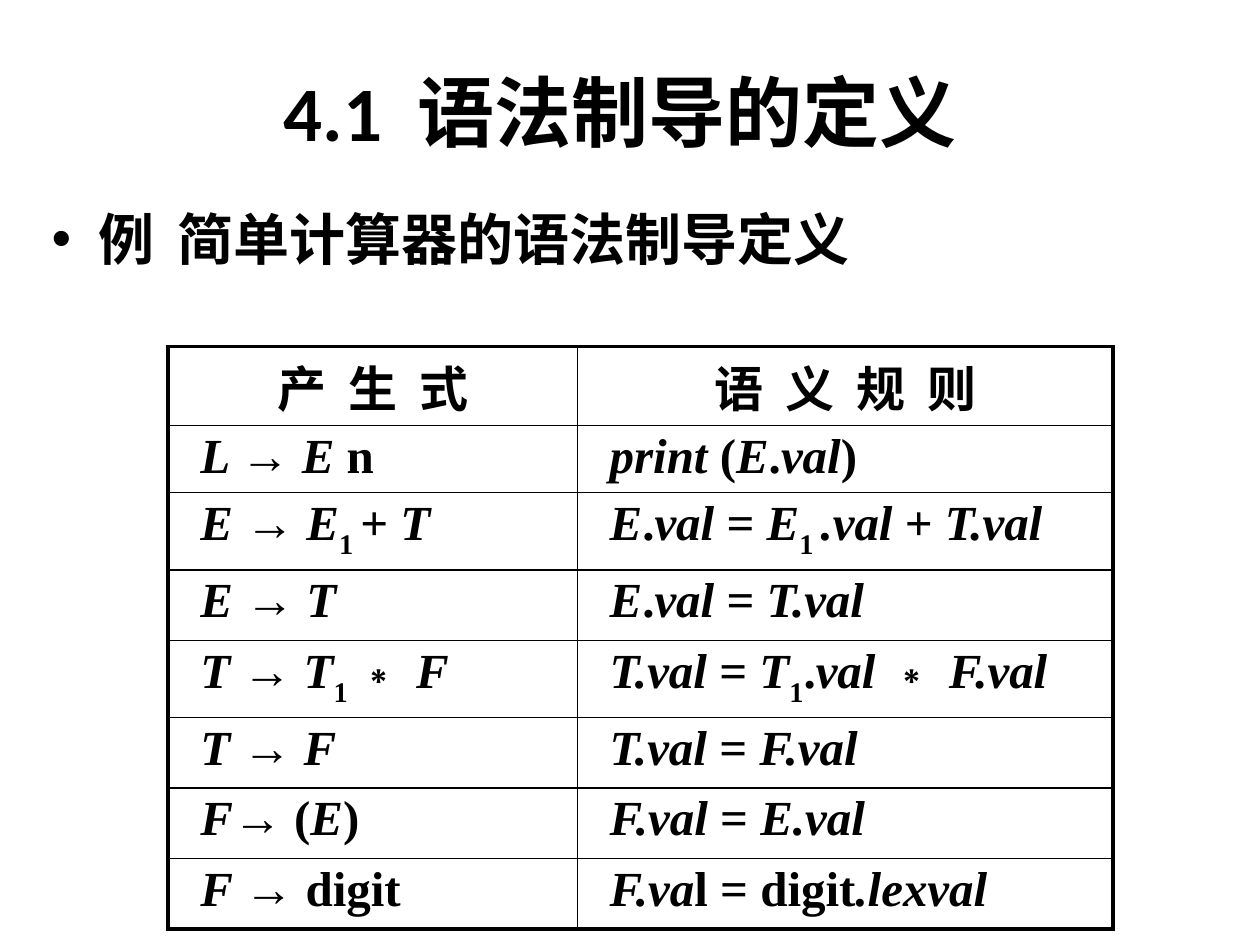
from lxml import etree
from pptx import Presentation
from pptx.dml.color import RGBColor
from pptx.enum import text
from pptx.oxml import ns
from pptx.util import Cm, Pt

BLACK = RGBColor(0, 0, 0)
LATIN, MATH, CJK = "Calibri", "Times New Roman", "Noto Sans CJK SC"
HEADERS = ["产 生 式", "语 义 规 则"]
RULES = [
    ("_L _→ _E _n", "_print_ (_E_._val_)"),
    ("_E _→ _E_~1 ~+ _T_", "_E_._val_ = _E_~1 ~_.val_ + _T.val_"),
    ("_E _→ _T_", "_E_._val_ = _T.val_"),
    ("_T _→ _T_~1 ~∗ _F_", "_T.val_ = _T_~1~._val _∗ _F.val_"),
    ("_T _→ _F_", "_T.val_ = _F.val_"),
    ("_F_→ (_E_)", "_F.val_ = _E.val_"),
    ("_F _→ digit", "_F.va_l = digit_.lexval_"),
]
WIDTHS = [Cm(8.25), Cm(10.8)]
HEIGHTS = [Cm(1.59), Cm(1.35)] + [Cm(1.42)] * 6


def child(parent, tag, **attrs):
    return etree.SubElement(parent, ns.qn(tag), attrs)


def add_run(p, content, font, size, italic=False, spacing=0, sub=False):
    r = p.add_run()
    r.text = content
    for key, value in {"name": font, "size": Pt(size), "bold": True,
                       "italic": italic}.items():
        setattr(r.font, key, value)
    r.font.color.rgb = BLACK
    rPr = r._r.get_or_add_rPr()
    child(rPr, "a:ea", typeface=CJK)
    if spacing:
        rPr.set("spc", str(spacing))
    if sub:
        rPr.set("baseline", "-30000")


def add_formula(p, markup):
    for i, part in enumerate(markup.split("~")):
        for j, piece in enumerate(part.split("_")):
            if piece:
                add_run(p, piece, MATH, 28, italic=j % 2 == 1, sub=i % 2 == 1)


def add_box(s, left, top, width, height, anchor):
    tf = s.shapes.add_textbox(left, top, width, height).text_frame
    tf.word_wrap = True
    tf.vertical_anchor = anchor
    return tf.paragraphs[0]


def add_title(s):
    p = add_box(s, Cm(1.7), Cm(0.64), Cm(21.6), Cm(3.18), text.MSO_ANCHOR.MIDDLE)
    p.alignment = text.PP_ALIGN.CENTER
    add_run(p, "4.1", LATIN, 44)
    add_run(p, " ", LATIN, 44, spacing=1000)
    add_run(p, "语法制导的定义", LATIN, 44)


def add_bullet(s):
    p = add_box(s, Cm(0.79), Cm(3.99), Cm(23.8), Cm(14), text.MSO_ANCHOR.TOP)
    pPr = p._p.get_or_add_pPr()
    pPr.set("marL", str(Cm(0.95)))
    pPr.set("indent", str(-Cm(0.95)))
    child(pPr, "a:buFont", typeface="Arial")
    child(pPr, "a:buChar", char="•")
    child(child(pPr, "a:tabLst"), "a:tab", pos=str(Cm(2.54)), algn="l")
    add_run(p, "例\t简单计算器的语法制导定义", LATIN, 32)


def set_borders(cell, outer):
    tcPr = cell._tc.get_or_add_tcPr()
    for side, is_outer in outer.items():
        ln = child(tcPr, f"a:ln{side}", w=str(Pt(2.25 if is_outer else 1)))
        child(child(ln, "a:solidFill"), "a:srgbClr", val=str(BLACK))


def add_rules_table(s):
    rows = [HEADERS] + RULES
    tbl = s.shapes.add_table(len(rows), len(WIDTHS), Cm(3.39), Cm(6.99),
                             sum(WIDTHS), sum(HEIGHTS)).table
    tbl.first_row = tbl.horz_banding = False
    for col, width in zip(tbl.columns, WIDTHS):
        col.width = width
    for i, (row, height) in enumerate(zip(rows, HEIGHTS)):
        tbl.rows[i].height = height
        for j, content in enumerate(row):
            cell = tbl.cell(i, j)
            margins = {"margin_left": Cm(0.65 if i else 0.15),
                       "margin_right": Cm(0.15),
                       "margin_top": Cm(0.08), "margin_bottom": Cm(0.08)}
            for key, value in margins.items():
                setattr(cell, key, value)
            set_borders(cell, {"L": j == 0, "R": j == len(row) - 1,
                               "T": i == 0, "B": i == len(rows) - 1})
            cell.fill.background()
            p = cell.text_frame.paragraphs[0]
            if i:
                add_formula(p, content)
            else:
                p.alignment = text.PP_ALIGN.CENTER
                add_run(p, content, CJK, 28, spacing=315)


def main():
    prs = Presentation()
    prs.slide_width, prs.slide_height = Cm(25.4), Cm(19.05)
    s = prs.slides.add_slide(prs.slide_layouts[6])
    add_title(s)
    add_bullet(s)
    add_rules_table(s)
    prs.save("out.pptx")


if __name__ == "__main__":
    main()
